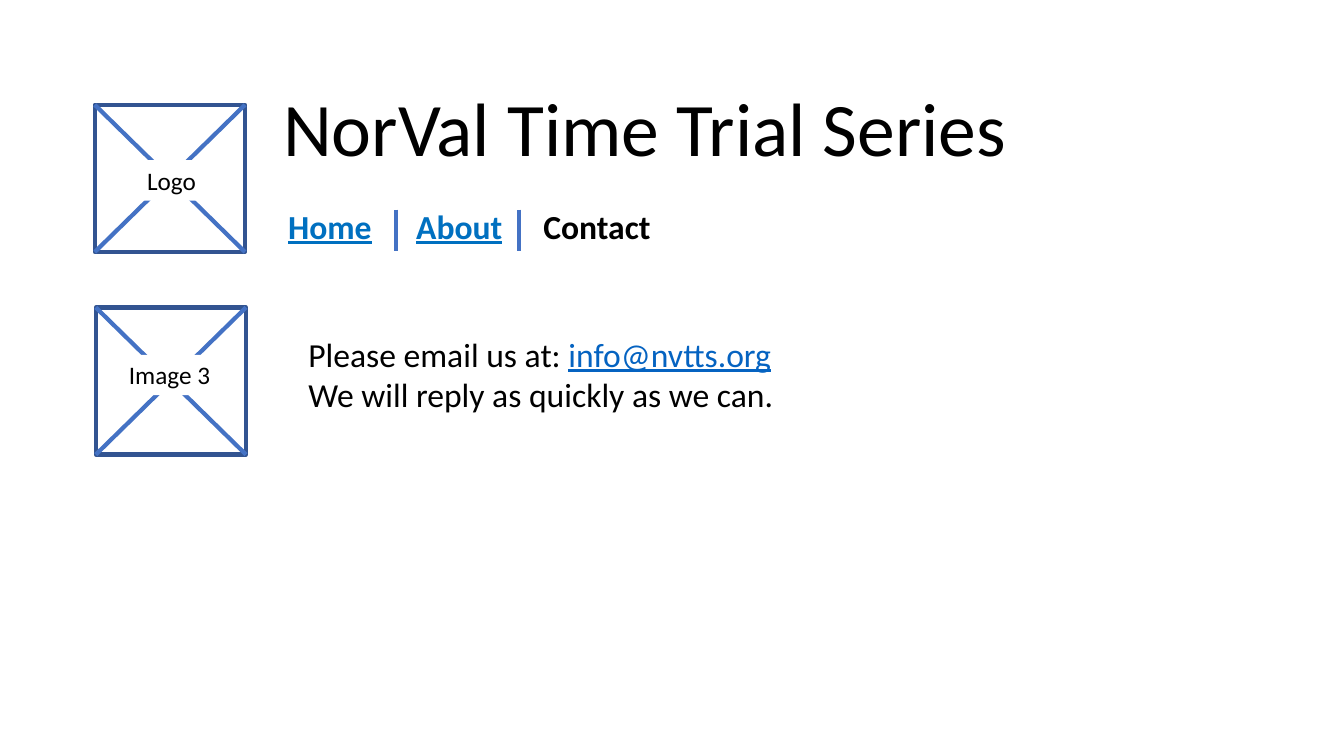
from pptx import Presentation
from pptx.dml.color import RGBColor
from pptx.enum import shapes, text
from pptx.oxml.ns import qn
from pptx.util import Inches, Pt

COLORS = {
    "black": "000000",
    "white": "FFFFFF",
    "frame": "325491",
    "stroke": "4472C4",
    "nav": "0070C0",
    "email": "0563C1",
}
FRAME_SIZE = (1.49, 1.46)
LINE_WIDTH = 3


def rgb(name):
    return RGBColor.from_string(COLORS[name])


def add_rule(slide, start, end):
    rule = slide.shapes.add_connector(
        shapes.MSO_CONNECTOR.STRAIGHT, *map(Inches, start + end))
    rule.line.color.rgb = rgb("stroke")
    rule.line.width = Pt(LINE_WIDTH)
    properties = rule._element.spPr
    properties.append(properties.makeelement(qn("a:effectLst"), {}))


def add_label(slide, box, lines, size, fill=None):
    """Add a text box; each line is a list of (wording, colour, font settings)."""
    label = slide.shapes.add_textbox(*map(Inches, box))
    if fill:
        label.fill.solid()
        label.fill.fore_color.rgb = rgb(fill)
    frame = label.text_frame
    frame.word_wrap = False
    frame.auto_size = text.MSO_AUTO_SIZE.SHAPE_TO_FIT_TEXT
    for index, line in enumerate(lines):
        paragraph = frame.paragraphs[0] if index == 0 else frame.add_paragraph()
        for wording, color, settings in line:
            run = paragraph.add_run()
            run.text = wording
            run.font.color.rgb = rgb(color)
            for name, value in {"name": "Calibri", "size": Pt(size), **settings}.items():
                setattr(run.font, name, value)


def add_image_frame(slide, left, top):
    """Add a square with both diagonals, standing for an image."""
    width, height = FRAME_SIZE
    right, bottom = left + width, top + height
    square = slide.shapes.add_shape(
        shapes.MSO_SHAPE.RECTANGLE, *map(Inches, (left, top, width, height)))
    square.shadow.inherit = False
    square.fill.background()
    square.line.color.rgb = rgb("frame")
    square.line.width = Pt(LINE_WIDTH)
    add_rule(slide, (left, top), (right, bottom))
    add_rule(slide, (right, top), (left, bottom))


def add_navigation(slide):
    link = {"bold": True, "underline": True}
    entries = [
        ("Home", 2.76, 1.04, "nav", link),
        ("About", 4.03, 1.06, "nav", link),
        ("Contact", 5.29, 1.28, "black", {"bold": True}),
    ]
    for wording, left, width, color, settings in entries:
        add_label(slide, (left, 1.99, width, 0.5), [[(wording, color, settings)]], 24)
    for x in (3.93, 5.15):
        add_rule(slide, (x, 2.08), (x, 2.49))


def main():
    deck = Presentation()
    deck.slide_width, deck.slide_height = Inches(13.33), Inches(7.5)
    slide = deck.slides.add_slide(deck.slide_layouts[6])

    add_image_frame(slide, 0.94, 1.04)
    add_image_frame(slide, 0.95, 3.05)
    add_label(slide, (2.71, 0.75, 7.47, 1.01),
              [[("NorVal Time Trial Series", "black", {})]], 54)
    add_navigation(slide)
    for caption, box in (("Logo", (1.36, 1.59, 0.69, 0.4)),
                         ("Image 3", (1.18, 3.52, 1.02, 0.4))):
        add_label(slide, box, [[(caption, "black", {})]], 18, fill="white")
    add_label(slide, (2.96, 3.26, 4.91, 0.91), [
        [("Please email us at: ", "black", {}),
         ("info@nvtts.org", "email", {"underline": True})],
        [("We will reply as quickly as we can.", "black", {})],
    ], 24)

    deck.save("out.pptx")


if __name__ == "__main__":
    main()
